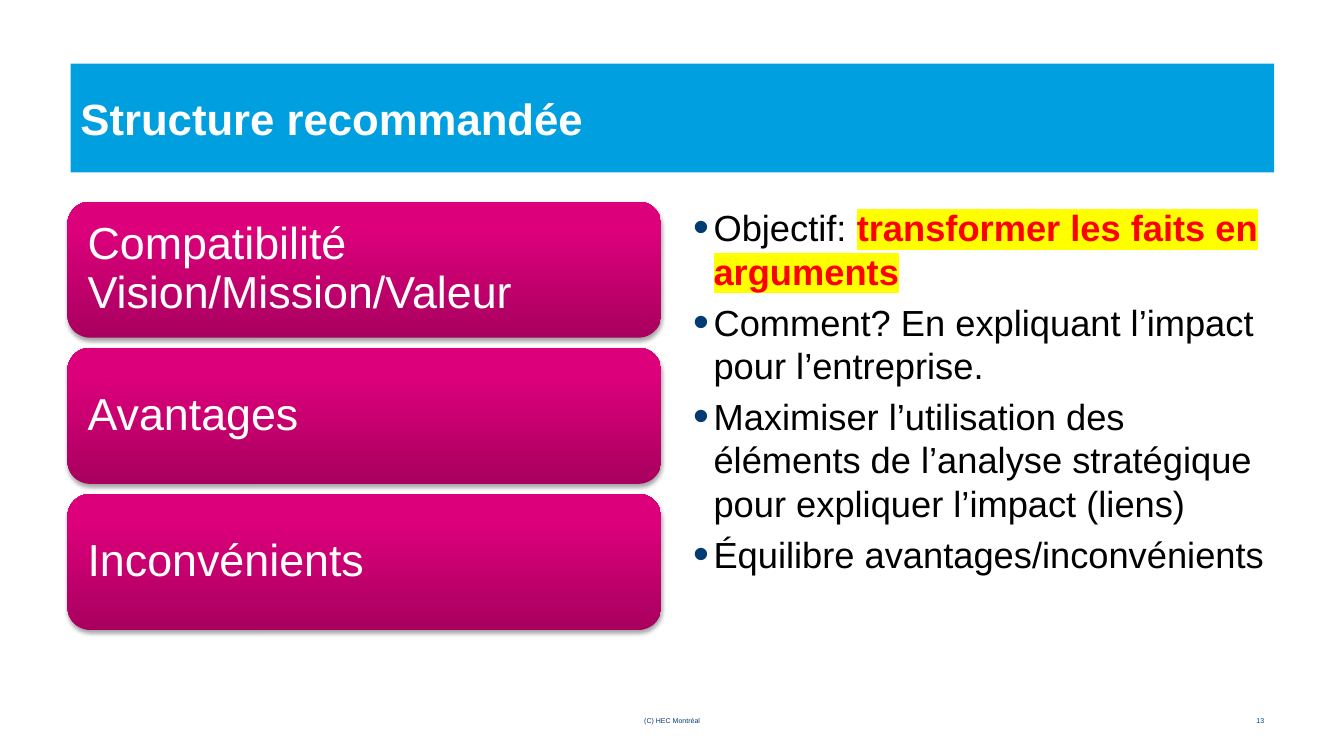
from pptx import Presentation
from pptx.dml.color import RGBColor
from pptx.enum import shapes, text
from pptx.oxml import parse_xml
from pptx.oxml.ns import nsdecls, qn
from pptx.util import Pt

FONT = "Arial"
WHITE = RGBColor(0xFF, 0xFF, 0xFF)
BLACK = RGBColor(0, 0, 0)
RED = RGBColor(0xFF, 0, 0)
YELLOW = RGBColor(0xFF, 0xFF, 0)
NAVY = RGBColor(0x00, 0x3C, 0x71)
CYAN = RGBColor(0x00, 0x9F, 0xDF)
CARD_STOPS = [
    (0, RGBColor(0xA9, 0x00, 0x5F)),
    (80, RGBColor(0xDC, 0x00, 0x7B)),
    (100, RGBColor(0xDD, 0x00, 0x7B)),
]

CARDS = ["Compatibilité Vision/Mission/Valeur", "Avantages", "Inconvénients"]
ADVICE = [
    [("Objectif: ", False), ("transformer les faits en arguments", True)],
    [("Comment? En expliquant l’impact pour l’entreprise.", False)],
    [("Maximiser l’utilisation des éléments de l’analyse stratégique "
      "pour expliquer l’impact (liens)", False)],
    [("Équilibre avantages/inconvénients", False)],
]


def style(font, size, color, bold=False):
    font.name = FONT
    font.size = Pt(size)
    font.bold = bold
    font.color.rgb = color


def add_panel(slide, preset, box):
    panel = slide.shapes.add_shape(preset, *map(Pt, box))
    panel.shadow.inherit = False
    panel.line.fill.background()
    panel.text_frame.word_wrap = True
    panel.text_frame.vertical_anchor = text.MSO_ANCHOR.MIDDLE
    return panel


def add_title(slide, box, wording):
    banner = add_panel(slide, shapes.MSO_SHAPE.RECTANGLE, box)
    banner.fill.solid()
    banner.fill.fore_color.rgb = CYAN
    heading = banner.text_frame.paragraphs[0]
    heading.text = wording
    heading.alignment = text.PP_ALIGN.LEFT
    style(heading.runs[0].font, 31.2, WHITE, True)


def shade_card(card):
    stops = "".join(
        f'<a:gs pos="{position * 1000}"><a:srgbClr val="{color}"/></a:gs>'
        for position, color in CARD_STOPS)
    properties = card.fill._xPr
    properties.find(qn("a:prstGeom")).addnext(parse_xml(
        f'<a:gradFill {nsdecls("a")} rotWithShape="1"><a:gsLst>{stops}</a:gsLst>'
        '<a:lin ang="16200000" scaled="0"/></a:gradFill>'))
    properties.find(qn("a:effectLst")).append(parse_xml(
        f'<a:outerShdw {nsdecls("a")} blurRad="{Pt(3.1)}" dist="{Pt(1.8)}" '
        'dir="5400000" rotWithShape="0"><a:srgbClr val="000000">'
        '<a:alpha val="35000"/></a:srgbClr></a:outerShdw>'))


def add_cards(slide, box, labels, gap):
    left, top, width, height = box
    card_height = (height - gap * (len(labels) - 1)) / len(labels)
    for index, label in enumerate(labels):
        card_top = top + index * (card_height + gap)
        card = add_panel(slide, shapes.MSO_SHAPE.ROUNDED_RECTANGLE,
                         (left, card_top, width, card_height))
        shade_card(card)
        frame = card.text_frame
        frame.margin_left = frame.margin_right = Pt(9.6)
        frame.margin_top = frame.margin_bottom = Pt(9.6)
        caption = frame.paragraphs[0]
        caption.text = label
        caption.alignment = text.PP_ALIGN.LEFT
        caption.line_spacing = 0.9
        style(caption.runs[0].font, 32, WHITE)


def add_bullet(paragraph):
    properties = paragraph._p.get_or_add_pPr()
    properties.set("marL", str(Pt(14.4)))
    properties.set("indent", str(-Pt(14.4)))
    for element in (f'<a:buClr {nsdecls("a")}><a:srgbClr val="{NAVY}"/></a:buClr>',
                    f'<a:buSzPct {nsdecls("a")} val="125000"/>',
                    f'<a:buFont {nsdecls("a")} typeface="{FONT}"/>',
                    f'<a:buChar {nsdecls("a")} char="•"/>'):
        properties.append(parse_xml(element))


def highlight(run):
    run._r.rPr.find(qn("a:solidFill")).addnext(parse_xml(
        f'<a:highlight {nsdecls("a")}><a:srgbClr val="{YELLOW}"/></a:highlight>'))


def add_advice(slide, box, points):
    frame = slide.shapes.add_textbox(*map(Pt, box)).text_frame
    frame.word_wrap = True
    for index, point in enumerate(points):
        paragraph = frame.add_paragraph() if index else frame.paragraphs[0]
        add_bullet(paragraph)
        if index:
            paragraph.space_before = Pt(5.2)
        for wording, stressed in point:
            run = paragraph.add_run()
            run.text = wording
            style(run.font, 25.9, RED if stressed else BLACK, stressed)
            if stressed:
                highlight(run)


def add_footer(slide, box, wording, alignment):
    frame = slide.shapes.add_textbox(*map(Pt, box)).text_frame
    frame.word_wrap = True
    frame.vertical_anchor = text.MSO_ANCHOR.MIDDLE
    note = frame.paragraphs[0]
    note.text = wording
    note.alignment = alignment
    note.line_spacing = 0.9
    note.space_after = Pt(6)
    style(note.runs[0].font, 5, NAVY)


def main():
    deck = Presentation()
    deck.slide_width, deck.slide_height = Pt(960), Pt(540)
    slide = deck.slides.add_slide(deck.slide_layouts[6])
    add_title(slide, (50.4, 45.4, 859.7, 77.8), "Structure recommandée")
    add_advice(slide, (488.2, 143.3, 424.1, 306.7), ADVICE)
    add_footer(slide, (328.3, 509, 303.8, 13), "(C) HEC Montréal",
               text.PP_ALIGN.CENTER)
    add_footer(slide, (861.1, 509, 49, 13), "13", text.PP_ALIGN.RIGHT)
    add_cards(slide, (48.2, 144, 424.1, 306), CARDS, 7.2)
    deck.save("out.pptx")


if __name__ == "__main__":
    main()
